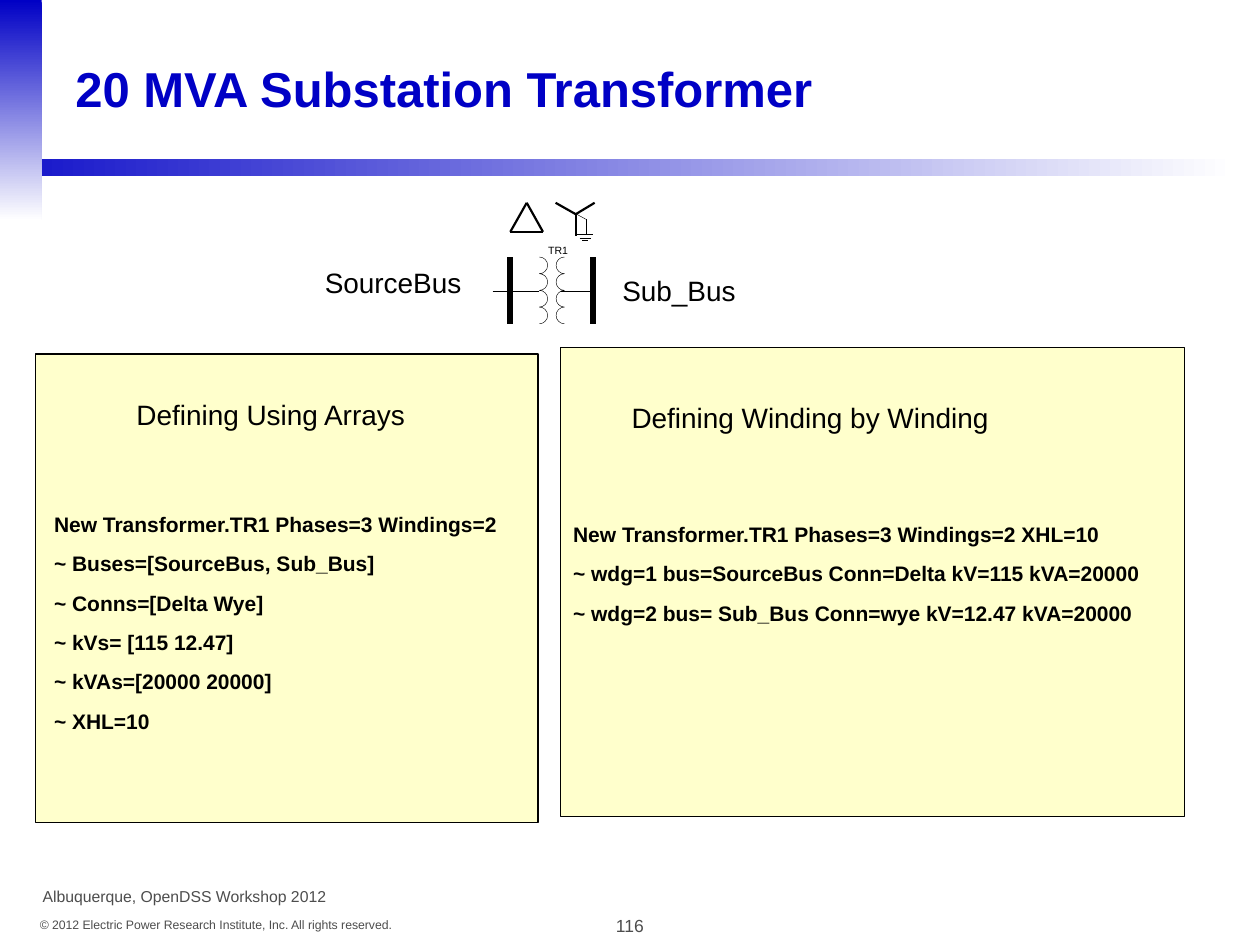
import math
import pptx
import pptx.util
import pptx.dml.color
import pptx.enum.shapes
import pptx.enum.text
import pptx.oxml.ns
from lxml import etree

Pt = pptx.util.Pt
RGBColor = pptx.dml.color.RGBColor
ALIGN = pptx.enum.text.PP_ALIGN
ANCHOR = pptx.enum.text.MSO_ANCHOR
RECT = pptx.enum.shapes.MSO_SHAPE.RECTANGLE
STRAIGHT = pptx.enum.shapes.MSO_CONNECTOR.STRAIGHT

BLUE = RGBColor(0x00, 0x00, 0xC5)
BAR_BLUE = RGBColor(0x19, 0x19, 0xCB)
WHITE = RGBColor(0xFF, 0xFF, 0xFF)
BLACK = RGBColor(0x00, 0x00, 0x00)
GRAY = RGBColor(0x4D, 0x4D, 0x4D)
CREAM = RGBColor(0xFF, 0xFF, 0xCC)

prs = pptx.Presentation()
prs.slide_width, prs.slide_height = Pt(720), Pt(540)
s = prs.slides.add_slide(prs.slide_layouts[6])


def add_text(box, lines, size, color=BLACK, align=ALIGN.LEFT, bold=False, wrap=True):
    sp = s.shapes.add_textbox(*[Pt(v) for v in box])
    tf = sp.text_frame
    tf.word_wrap = wrap
    for i, line in enumerate(lines):
        p = tf.paragraphs[0] if i == 0 else tf.add_paragraph()
        p.text = line
        p.alignment = align
        if i:
            p.space_before = Pt(8.1)
        p.font.name = "Arial"
        p.font.size = Pt(size)
        p.font.bold = bold
        p.font.color.rgb = color
    return tf


def add_line(x1, y1, x2, y2, width):
    sp = s.shapes.add_connector(STRAIGHT, Pt(x1), Pt(y1), Pt(x2), Pt(y2))
    sp.line.color.rgb = BLACK
    sp.line.width = Pt(width)
    etree.SubElement(sp._element.spPr, pptx.oxml.ns.qn("a:effectLst"))


for box, start, angle in [
    ((18, 90.7, 688.3, 10.1), BAR_BLUE, 0),
    ((0, 0, 23.8, 126), BLUE, 270),
]:
    sp = s.shapes.add_shape(RECT, *[Pt(v) for v in box])
    sp.shadow.inherit = False
    sp.line.fill.background()
    sp.fill.gradient()
    sp.fill.gradient_angle = angle
    for stop, color, position in zip(sp.fill.gradient_stops, (start, WHITE), (0, 1)):
        stop.color.rgb = color
        stop.position = position

add_text((336.2, 519.1, 47.5, 19.4), ["116"], 10, GRAY, ALIGN.CENTER)
add_text((15.1, 520.6, 216, 15.8),
         ["© 2012 Electric Power Research Institute, Inc. All rights reserved."],
         7, GRAY, ALIGN.RIGHT, wrap=False)
add_text((17.3, 503.3, 194.4, 18), ["Albuquerque, OpenDSS Workshop 2012"], 9, GRAY)

for box in [(320.4, 198.7, 356.4, 267.8), (20.2, 202.3, 287.3, 267.8)]:
    sp = s.shapes.add_shape(RECT, *[Pt(v) for v in box])
    sp.shadow.inherit = False
    sp.fill.solid()
    sp.fill.fore_color.rgb = CREAM
    sp.line.color.rgb = BLACK
    sp.line.width = Pt(0.75)

coil_top, radius, loops, steps = 146.9, 4.77, 4, 8
for x, side in [(308.2, 1), (322.6, -1)]:
    points = []
    for i in range(loops * steps + 1):
        loop, step = divmod(i, steps)
        angle = math.pi * step / steps
        points.append((Pt(x + side * radius * math.sin(angle)),
                       Pt(coil_top + radius * (2 * loop + 1 - math.cos(angle)))))
    builder = s.shapes.build_freeform(*points[0])
    builder.add_line_segments(points[1:], close=False)
    sp = builder.convert_to_shape()
    sp.shadow.inherit = False
    sp.fill.background()
    sp.line.color.rgb = BLACK
    sp.line.width = Pt(0.25)

LEADS = [(281.5, 166.3, 291.6, 166.3), (339.1, 166.3, 320.4, 166.3), (308.2, 166.3, 291.6, 166.3)]
BUSES = [(291.6, 146.9, 291.6, 185), (339.1, 146.9, 339.1, 185)]
DELTA = [(291.6, 132.5, 310.3, 132.5), (291.6, 132.5, 301, 115.9), (310.3, 132.5, 301, 115.9)]
WYE = [(329, 122.4, 329, 134.6), (329, 122.4, 339.8, 115.9), (329, 122.4, 317.5, 115.9)]
GROUND = [(332.6, 137.5, 336.2, 137.5), (331.2, 136.1, 337.7, 136.1), (329.8, 133.9, 339.1, 133.9),
          (334.8, 125.3, 334.8, 133.9), (334.8, 125.3, 326.9, 121)]
for segments, width in [(LEADS + GROUND, 0.25), (BUSES, 3.37), (DELTA + WYE, 1.25)]:
    for segment in segments:
        add_line(*segment, width)

tf = add_text((298.8, 139.7, 40.3, 7.2), ["TR1"], 6, align=ALIGN.CENTER, wrap=False)
tf.margin_left = tf.margin_right = tf.margin_top = tf.margin_bottom = 0

tf = add_text((36, 14.4, 648, 72), ["20 MVA Substation Transformer"], 28, BLUE, bold=True)
tf.vertical_anchor = ANCHOR.MIDDLE

add_text((23.8, 288.7, 326.2, 153.4), [
    "New Transformer.TR1 Phases=3 Windings=2",
    "~ Buses=[SourceBus, Sub_Bus]",
    "~ Conns=[Delta Wye]",
    "~ kVs= [115 12.47]",
    "~ kVAs=[20000 20000]",
    "~ XHL=10",
], 12, bold=True)
add_text((320.4, 294.5, 373.7, 87.8), [
    "New Transformer.TR1 Phases=3 Windings=2 XHL=10",
    "~ wdg=1 bus=SourceBus Conn=Delta kV=115 kVA=20000",
    "~ wdg=2 bus= Sub_Bus Conn=wye kV=12.47 kVA=20000",
], 12, bold=True)

for box, label, align in [
    ((33.8, 223.9, 241.9, 26.6), "Defining Using Arrays", ALIGN.CENTER),
    ((342, 225.4, 241.9, 26.6), "Defining Winding by Winding", ALIGN.CENTER),
    ((348.5, 152.6, 137.5, 26.6), "Sub_Bus", ALIGN.LEFT),
    ((133.2, 148.3, 137.5, 26.6), "SourceBus", ALIGN.RIGHT),
]:
    add_text(box, [label], 16, align=align)

prs.save("out.pptx")
